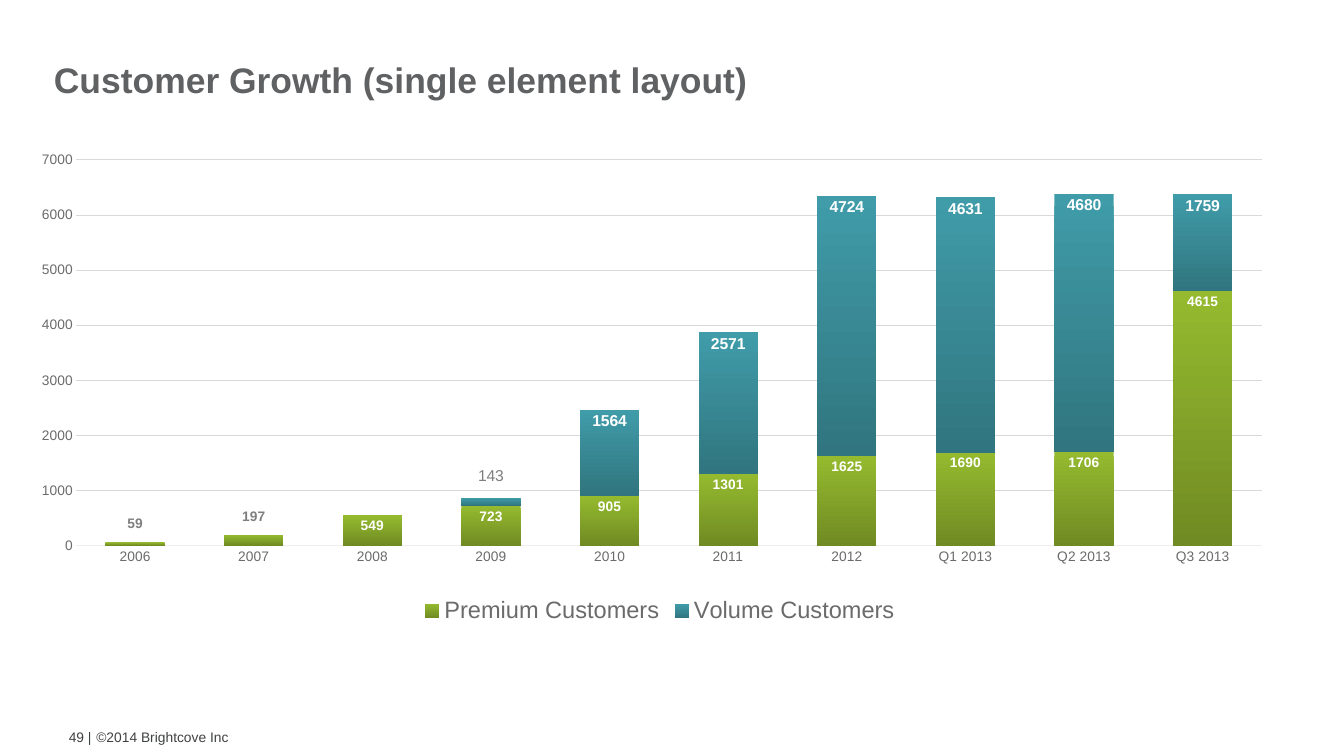
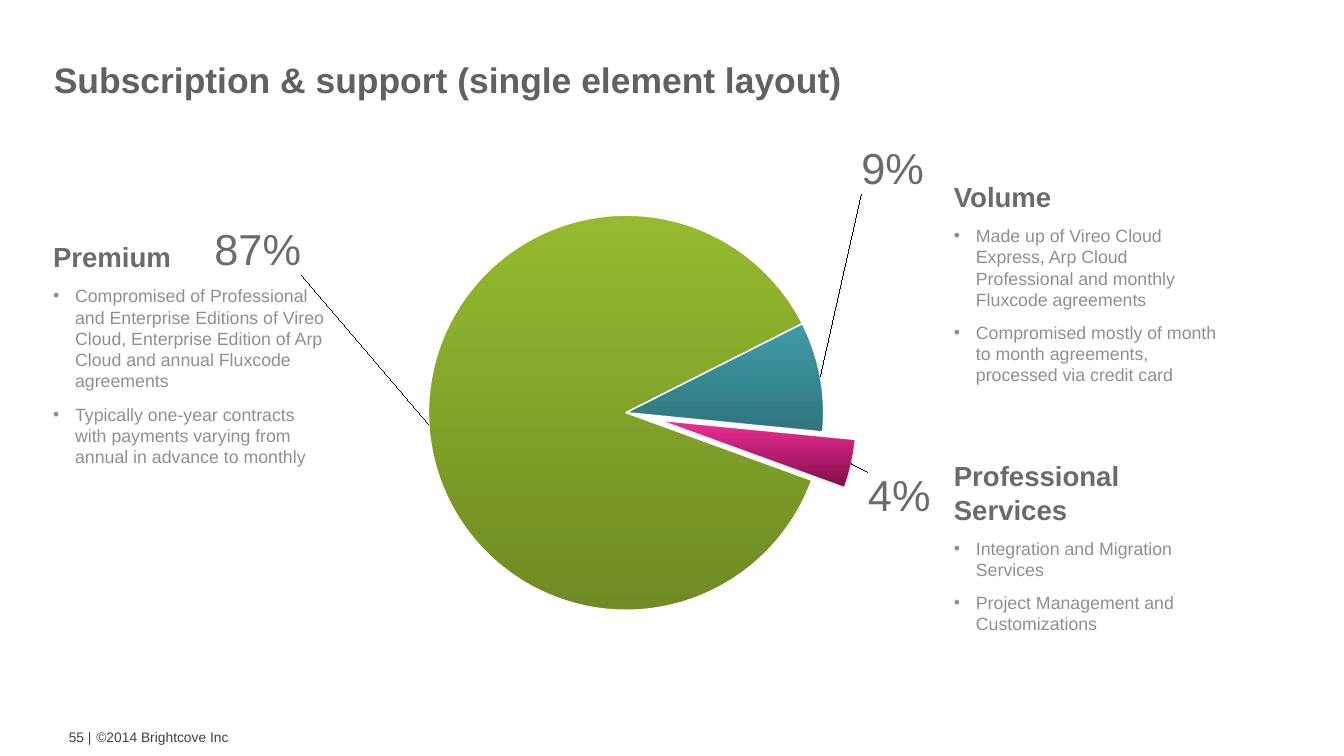
from lxml.etree import SubElement
from pptx import Presentation
from pptx.chart.data import CategoryChartData
from pptx.dml.color import RGBColor
from pptx.enum.chart import XL_CHART_TYPE as ChartType
from pptx.enum.chart import XL_LABEL_POSITION as LabelPosition
from pptx.enum.chart import XL_LEGEND_POSITION as LegendPosition
from pptx.enum.chart import XL_TICK_MARK as TickMark
from pptx.enum.text import MSO_ANCHOR as Anchor
from pptx.enum.text import MSO_AUTO_SIZE as AutoSize
from pptx.enum.text import PP_ALIGN as Align
from pptx.oxml.ns import qn
from pptx.util import Cm, Pt

FONT = "Arial"
WHITE = RGBColor(0xFF, 0xFF, 0xFF)
TITLE_GRAY = RGBColor(0x60, 0x61, 0x63)
FOOTER_GRAY = RGBColor(0x3F, 0x41, 0x40)
DARK_GRAY = RGBColor(0x6B, 0x6B, 0x6C)
BODY_GRAY = RGBColor(0x8F, 0x8F, 0x90)
LABEL_GRAY = RGBColor(0x7F, 0x7F, 0x7F)
GRID_GRAY = RGBColor(0xD9, 0xD9, 0xD9)
AXIS_GRAY = RGBColor(0xEE, 0xEE, 0xEE)
GREEN = (RGBColor(0x95, 0xBA, 0x2F), RGBColor(0x70, 0x8B, 0x23))
TEAL = (RGBColor(0x40, 0x9C, 0xA9), RGBColor(0x30, 0x75, 0x7F))
PINK = (RGBColor(0xED, 0x30, 0x93), RGBColor(0x83, 0x0B, 0x4A))

MARGIN, CONTENT_WIDTH = 1.5, 44.09
COPYRIGHT = "©2014 Brightcove Inc"

PERIODS = ["2006", "2007", "2008", "2009", "2010", "2011", "2012",
           "Q1 2013", "Q2 2013", "Q3 2013"]
# moved: point index -> label shift as shares of the chart size
CUSTOMERS = [
    {"name": "Premium Customers", "colors": GREEN, "size": 14,
     "values": [59, 197, 549, 723, 905, 1301, 1625, 1690, 1706, 4615],
     "moved": {0: (0, -0.06), 1: (0, -0.06)}, "moved_bold": True},
    {"name": "Volume Customers", "colors": TEAL, "size": 16,
     "values": [None, None, None, 143, 1564, 2571, 4724, 4631, 4680, 1759],
     "moved": {3: (0, -0.07)}, "moved_bold": False},
]

# share, gradient, explosion in percent, label shift
SLICES = [
    (0.87, GREEN, 0, (-0.1, -0.23)),
    (0.09, TEAL, 0, (0.03, -0.24)),
    (0.04, PINK, 17, (0.01, 0.01)),
]

# left, top, height, heading, bullets
SEGMENTS = [
    (33.91, 6.32, 7.7, "Volume", [
        "Made up of Vireo Cloud Express, Arp Cloud Professional and monthly "
        "Fluxcode agreements",
        "Compromised mostly of month to month agreements, processed via "
        "credit card"]),
    (1.65, 8.48, 8.46, "Premium", [
        "Compromised of Professional and Enterprise Editions of Vireo Cloud, "
        "Enterprise Edition of Arp Cloud and annual Fluxcode agreements",
        "Typically one-year contracts with payments varying from annual in "
        "advance to monthly"]),
    (33.91, 16.33, 6.58, "Professional Services", [
        "Integration and Migration Services",
        "Project Management and Customizations"]),
]


def style_font(font, size, color, bold=False):
    font.name = FONT
    font.size = Pt(size)
    font.color.rgb = color
    font.bold = bold


def add_run(paragraph, text, size, color, bold=False):
    run = paragraph.add_run()
    run.text = text
    style_font(run.font, size, color, bold)


def add_box(slide, left, top, width, height, anchor=Anchor.MIDDLE):
    box = slide.shapes.add_textbox(Cm(left), Cm(top), Cm(width), Cm(height))
    frame = box.text_frame
    frame.word_wrap = True
    frame.vertical_anchor = anchor
    return frame


def add_title(slide, text):
    frame = add_box(slide, MARGIN, 0.84, 40.89, 4.04)
    frame.margin_left = frame.margin_right = Cm(0.43)
    frame.margin_top = frame.margin_bottom = Cm(0.2)
    add_run(frame.paragraphs[0], text, 36, TITLE_GRAY, True)


def add_footer(slide, number):
    parts = [(3.2, 15.24, COPYRIGHT, Align.LEFT),
             (1.65, 1.88, f"{number} |", Align.RIGHT)]
    for left, width, text, alignment in parts:
        paragraph = add_box(slide, left, 25.68, width, 1.45).paragraphs[0]
        paragraph.alignment = alignment
        add_run(paragraph, text, 14, FOOTER_GRAY)


def add_segment(slide, left, top, height, heading, bullets):
    frame = add_box(slide, left, top, 10.29, height, Anchor.TOP)
    frame.auto_size = AutoSize.SHAPE_TO_FIT_TEXT
    paragraph = frame.paragraphs[0]
    paragraph.space_after = Pt(12)
    add_run(paragraph, heading, 28, DARK_GRAY, True)
    for text in bullets:
        paragraph = frame.add_paragraph()
        properties = paragraph._p.get_or_add_pPr()
        properties.set("marL", str(Cm(0.79)))
        properties.set("indent", str(-Cm(0.79)))
        SubElement(properties, qn("a:buFont")).set("typeface", FONT)
        SubElement(properties, qn("a:buChar")).set("char", "•")
        paragraph.space_after = Pt(12)
        add_run(paragraph, text, 18, BODY_GRAY)


def fill_gradient(fill, colors):
    """Blend the two colours from top to bottom."""
    fill.gradient()
    fill.gradient_angle = 270
    for stop, color in zip(fill.gradient_stops, colors):
        stop.color.rgb = color


def set_layout(parent, index, **settings):
    """Put a manual layout at the given child index of a chart element."""
    for old in parent.findall(qn("c:layout")):
        parent.remove(old)
    layout = SubElement(parent, qn("c:layout"))
    manual = SubElement(layout, qn("c:manualLayout"))
    for tag, value in settings.items():
        SubElement(manual, qn(f"c:{tag}")).set("val", str(value))
    parent.insert(index, layout)


def add_chart(slide, kind, top, height, data, plot_area):
    frame = slide.shapes.add_chart(kind, Cm(MARGIN), Cm(top),
                                   Cm(CONTENT_WIDTH), Cm(height), data)
    chart = frame.chart
    chart.has_title = False
    chart.has_legend = False
    style_font(chart.font, 10, BODY_GRAY)
    x, y, w, h = plot_area
    set_layout(chart._chartSpace.chart.plotArea, 0, layoutTarget="inner",
               xMode="edge", yMode="edge", x=x, y=y, w=w, h=h)
    return chart


def label_series(series, position, size, color, bold=False, leaders=False):
    labels = series.data_labels
    labels.show_value = True
    labels.position = position
    style_font(labels.font, size, color, bold)
    for flag in series._element.iter(qn("c:showLeaderLines")):
        flag.set("val", str(int(leaders)))
    return labels


def move_labels(series, shifts, position, size, color, bold=False):
    """Shift single point labels away from their usual place."""
    for index in shifts:
        label = series.points[index].data_label
        style_font(label.font, size, color, bold)
        label.position = position
    for element in series._element.iter(qn("c:dLbl")):
        x, y = shifts[int(element.find(qn("c:idx")).get("val"))]
        set_layout(element, 1, x=x, y=y)


def style_axes(chart):
    for axis in (chart.category_axis, chart.value_axis):
        axis.major_tick_mark = axis.minor_tick_mark = TickMark.NONE
        style_font(axis.tick_labels.font, 14, DARK_GRAY)
    category_line = chart.category_axis.format.line
    category_line.color.rgb = AXIS_GRAY
    category_line.width = Pt(0.75)
    values = chart.value_axis
    values.minimum_scale, values.maximum_scale = 0, 7000
    values.major_unit = 1000
    values.format.line.fill.background()
    values.has_major_gridlines = True
    grid_line = values.major_gridlines.format.line
    grid_line.color.rgb = GRID_GRAY
    grid_line.width = Pt(0.75)


def add_growth_chart(slide):
    data = CategoryChartData()
    data.categories = PERIODS
    for group in CUSTOMERS:
        data.add_series(group["name"], group["values"])
    chart = add_chart(slide, ChartType.COLUMN_STACKED, 5.31, 17.22, data,
                      (0.024, 0.024, 0.967, 0.803))
    style_axes(chart)
    chart.has_legend = True
    chart.legend.position = LegendPosition.BOTTOM
    chart.legend.include_in_layout = False
    style_font(chart.legend.font, 24, DARK_GRAY)
    plot = chart.plots[0]
    plot.gap_width = plot.overlap = 100
    plot.vary_by_categories = False
    position = LabelPosition.INSIDE_END
    for series, group in zip(plot.series, CUSTOMERS):
        series.invert_if_negative = False
        fill_gradient(series.format.fill, group["colors"])
        label_series(series, position, group["size"], WHITE, True)
        move_labels(series, group["moved"], position, group["size"],
                    LABEL_GRAY, group["moved_bold"])


def add_share_chart(slide):
    data = CategoryChartData(number_format="0%")
    data.categories = [str(number + 1) for number in range(len(SLICES))]
    data.add_series("Series 1", [share for share, *_ in SLICES])
    chart = add_chart(slide, ChartType.PIE, 0, 27.08, data,
                      (0.314, 0.284, 0.321, 0.524))
    plot = chart.plots[0]
    plot.vary_by_categories = True
    pie = plot._element
    for old in pie.findall(qn("c:firstSliceAng")):
        pie.remove(old)
    SubElement(pie, qn("c:firstSliceAng")).set("val", "110")
    series = plot.series[0]
    for index, (_, colors, explosion, _) in enumerate(SLICES):
        look = series.points[index].format
        fill_gradient(look.fill, colors)
        look.line.color.rgb = WHITE
        look.line.width = Pt(1.5)
        if explosion:
            point = series._element.findall(qn("c:dPt"))[index]
            offset = SubElement(point, qn("c:explosion"))
            offset.set("val", str(explosion))
            point.find(qn("c:spPr")).addprevious(offset)
    position = LabelPosition.OUTSIDE_END
    labels = label_series(series, position, 44, DARK_GRAY, leaders=True)
    labels.number_format = "0%"
    labels.number_format_is_linked = False
    shifts = {index: part[-1] for index, part in enumerate(SLICES)}
    move_labels(series, shifts, position, 44, DARK_GRAY)


def main():
    presentation = Presentation()
    presentation.slide_width = Cm(48.13)
    presentation.slide_height = Cm(27.08)
    blank = presentation.slide_layouts[6]

    growth = presentation.slides.add_slide(blank)
    add_title(growth, "Customer Growth (single element layout)")
    add_growth_chart(growth)
    add_footer(growth, 49)

    support = presentation.slides.add_slide(blank)
    add_share_chart(support)
    add_title(support, "Subscription & support (single element layout)")
    add_footer(support, 55)
    for segment in SEGMENTS:
        add_segment(support, *segment)

    presentation.save("out.pptx")


if __name__ == "__main__":
    main()
